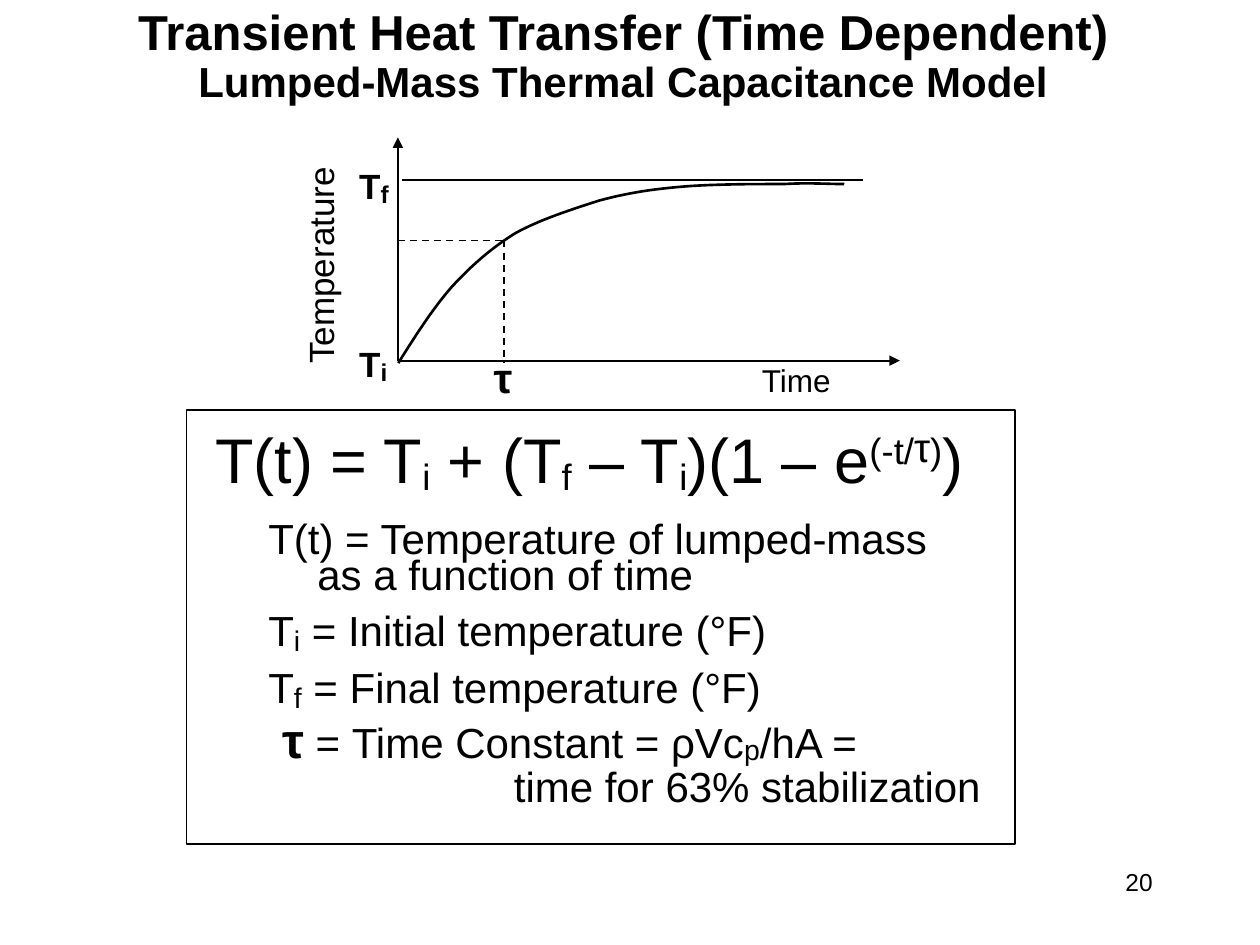
"""Build a slide on the lumped-mass model of transient heat transfer."""
import dataclasses

import lxml.etree
import pptx
import pptx.dml.color
import pptx.enum.dml
import pptx.enum.shapes
import pptx.enum.text
import pptx.oxml.ns
import pptx.util

Cm = pptx.util.Cm
Pt = pptx.util.Pt
ALIGN = pptx.enum.text.PP_ALIGN
ANCHOR = pptx.enum.text.MSO_ANCHOR


@dataclasses.dataclass(frozen=True)
class Theme:
    font: str = "Arial"
    ink: pptx.dml.color.RGBColor = pptx.dml.color.RGBColor(0, 0, 0)
    paper: pptx.dml.color.RGBColor = pptx.dml.color.RGBColor(255, 255, 255)
    title: int = 28
    text: int = 24
    symbol: int = 28
    formula: int = 36
    exponent: int = 40
    label: int = 20
    axis: int = 18
    number: int = 14
    thin: float = 1
    thick: float = 1.5


class Page:
    def __init__(self, deck, theme):
        self.theme = theme
        self.slide = deck.slides.add_slide(deck.slide_layouts[5])

    def style(self, para, size, bold=False, align=ALIGN.LEFT):
        para.alignment = align
        font = para.font
        font.name, font.size, font.bold = self.theme.font, Pt(size), bold
        font.color.rgb = self.theme.ink

    def spans(self, para, pieces):
        for text, size, baseline, *bold in pieces:
            for number, part in enumerate(text.split("\n")):
                if number:
                    para.add_line_break()
                span = para.add_run()
                span.text = part
                if size:
                    span.font.size = Pt(size)
                if baseline:
                    span.font._element.set("baseline", str(baseline * 1000))
                if bold:
                    span.font.bold = bold[0]

    def title(self, heading, subheading, left, top, width, height):
        box = self.slide.shapes.title
        box.left, box.top, box.width, box.height = map(Cm, (left, top, width, height))
        box.text_frame.vertical_anchor = ANCHOR.MIDDLE
        para = box.text_frame.paragraphs[0]
        self.spans(para, [(heading + "\n", None, 0), (subheading, self.theme.text, 0)])
        para.line_spacing = 0.9
        self.style(para, self.theme.title, True, ALIGN.CENTER)

    def panel(self, left, top, width, height):
        shape = self.slide.shapes.add_shape(
            pptx.enum.shapes.MSO_SHAPE.RECTANGLE, *map(Cm, (left, top, width, height)))
        shape.shadow.inherit = False
        shape.fill.solid()
        shape.fill.fore_color.rgb = self.theme.paper
        self.stroke(shape.line, self.theme.thin)

    def stroke(self, line, width):
        line.color.rgb = self.theme.ink
        line.width = Pt(width)

    def frame(self, left, top, width, height, wrap=True):
        box = self.slide.shapes.add_textbox(*map(Cm, (left, top, width, height)))
        box.text_frame.word_wrap = wrap
        return box

    def label(self, pieces, place, size, bold=False, align=ALIGN.LEFT, rotation=0):
        box = self.frame(*place, wrap=False)
        box.rotation = rotation
        para = box.text_frame.paragraphs[0]
        self.spans(para, pieces)
        self.style(para, size, bold, align)

    def line(self, start, end, arrow=False, dashed=False):
        line = self.slide.shapes.add_connector(
            pptx.enum.shapes.MSO_CONNECTOR.STRAIGHT, *map(Cm, start + end))
        self.stroke(line.line, self.theme.thin)
        if dashed:
            line.line.dash_style = pptx.enum.dml.MSO_LINE.DASH
        qn = pptx.oxml.ns.qn
        if arrow:
            outline = line.line._get_or_add_ln()
            lxml.etree.SubElement(outline, qn("a:tailEnd"), type="triangle")
        lxml.etree.SubElement(line._element.spPr, qn("a:effectLst"))

    def curve(self, knots, steps=12):
        points = []
        for first in range(0, len(knots) - 1, 3):
            controls = knots[first:first + 4]
            for step in range(1, steps + 1):
                t = step / steps
                weights = ((1 - t) ** 3, 3 * t * (1 - t) ** 2, 3 * t * t * (1 - t), t ** 3)
                points.append(tuple(
                    Cm(sum(w * c[axis] for w, c in zip(weights, controls)))
                    for axis in (0, 1)))
        builder = self.slide.shapes.build_freeform(*map(Cm, knots[0]))
        builder.add_line_segments(points, close=False)
        shape = builder.convert_to_shape()
        shape.shadow.inherit = False
        shape.fill.background()
        self.stroke(shape.line, self.theme.thick)

    def body(self, rows, left, top, width, height):
        frame = self.frame(left, top, width, height).text_frame
        for index, (pieces, size, margin, hang, before, spacing) in enumerate(rows):
            para = frame.add_paragraph() if index else frame.paragraphs[0]
            self.spans(para, pieces)
            properties = para._p.get_or_add_pPr()
            properties.set("marL", str(int(Cm(margin))))
            properties.set("indent", str(int(Cm(-hang))))
            para.line_spacing = spacing
            para.space_before = Pt(before)
            self.style(para, size)


def main():
    theme = Theme()
    deck = pptx.Presentation()
    deck.slide_width, deck.slide_height = Cm(25.4), Cm(19.05)
    page = Page(deck, theme)

    page.panel(3.76, 8.26, 16.71, 8.76)
    page.title("Transient Heat Transfer (Time Dependent)",
               "Lumped-Mass Thermal Capacitance Model", 1.42, 0.3, 22.28, 1.73)

    text, symbol, tight = theme.text, theme.symbol, 0.7
    formula = [("T(t) = T", None, 0), ("i", None, -10), (" + (T", None, 0),
               ("f", None, -10), (" – T", None, 0), ("i", None, -10),
               (")(1 – e", None, 0), ("(-t/", None, 30), ("τ", theme.exponent, 30),
               (")", None, 30), (")", None, 0)]
    limits = [([("T", None, 0), (letter, symbol, -10),
                (f" = {name} temperature (°F)", None, 0)], text, 1.32, 0, 9, tight)
              for letter, name in (("i", "Initial"), ("f", "Final"))]
    constant = [("τ", symbol, 0, True), (" = Time Constant = ρVc", None, 0),
                ("p", symbol, -4), ("/hA =", None, 0)]
    definition = "T(t) = Temperature of lumped-mass\nas a function of time"
    page.body([
        (formula, theme.formula, 0.25, 0, 0, Pt(36)),
        ([(definition, None, 0)], text, 2.31, 0.99, 16.5, tight),
        *limits,
        (constant, text, 1.6, 0, 7.5, tight),
        ([("time for 63% stabilization", None, 0)], text, 6.27, 0, 4.5, tight),
    ], 3.84, 8.64, 17.83, 8.23)

    origin, tau_x, tau_y, final_y = (8.02, 7.27), 10.16, 4.85, 3.63
    page.line(origin, (18.14, origin[1]), arrow=True)
    page.line(origin, (origin[0], 2.77), arrow=True)
    page.curve([
        (8.03, 7.32), (8.38, 6.76), (8.74, 6.2), (9.12, 5.77),
        (9.53, 5.33), (9.91, 5), (10.39, 4.7),
        (10.9, 4.42), (11.53, 4.22), (12.09, 4.04),
        (12.65, 3.89), (13.16, 3.81), (13.79, 3.76),
        (14.4, 3.71), (15.27, 3.71), (15.8, 3.71),
        (16.33, 3.68), (16.66, 3.71), (17.02, 3.71)])
    page.line((8.1, final_y), (17.4, final_y))
    page.line((origin[0], tau_y), (tau_x, tau_y), dashed=True)
    page.line((tau_x, tau_y), (tau_x, 7.32), dashed=True)

    page.label([("Time", None, 0)], (15.11, 7.16, 1.98, 1.02), theme.axis)
    page.label([("Temperature", None, 0)], (4.19, 4.75, 4.55, 1.12), theme.label, rotation=270)
    for letter, top in (("i", 6.63), ("f", 3.05)):
        page.label([("T", None, 0), (letter, text, -10)],
                   (6.99, top, 1.2, 1.3), theme.label, bold=True)
    page.label([("τ", None, 0)], (9.7, 6.96, 0.86, 1.27), text, bold=True)
    page.label([("20", None, 0)], (18.21, 17.35, 5.28, 1.27), theme.number, align=ALIGN.RIGHT)

    deck.save("out.pptx")


if __name__ == "__main__":
    main()
